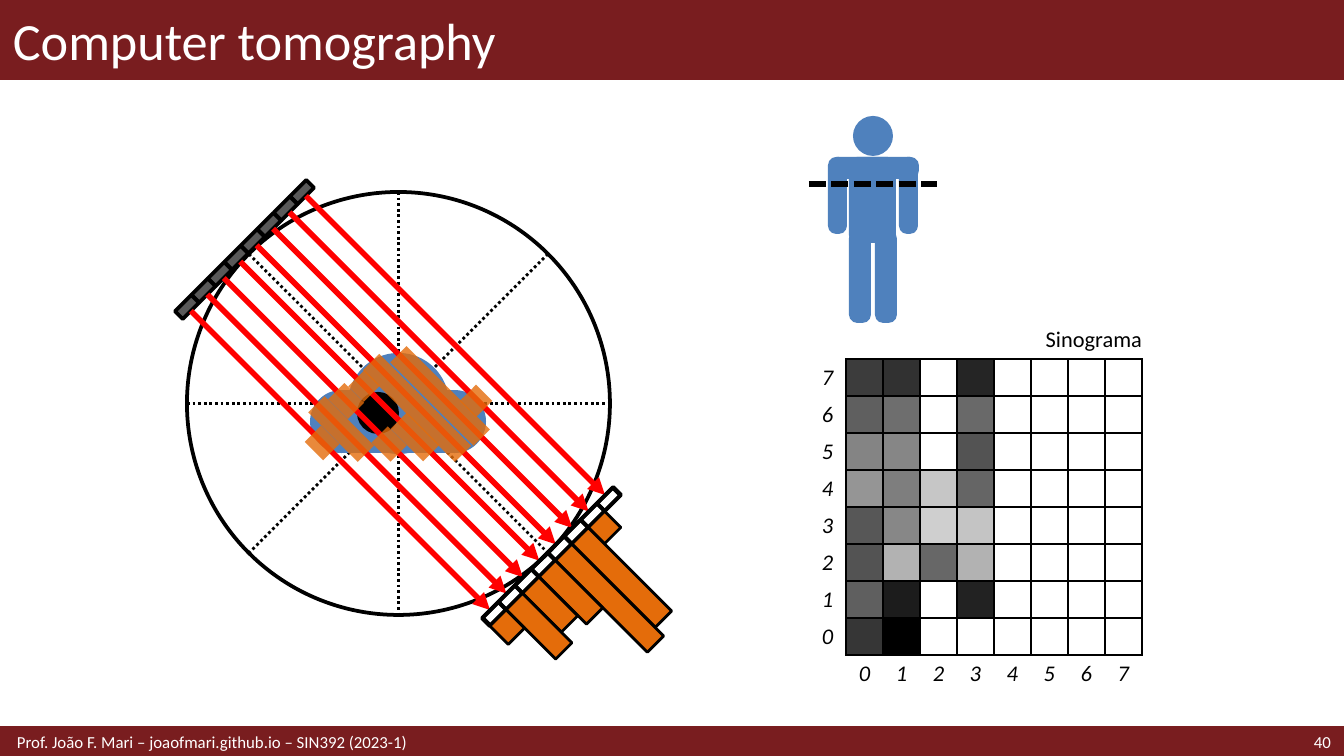
from math import sqrt

from pptx import Presentation
from pptx.dml.color import RGBColor
from pptx.enum.dml import MSO_LINE
from pptx.enum.shapes import MSO_CONNECTOR, MSO_SHAPE as SHAPE
from pptx.enum.text import MSO_ANCHOR, PP_ALIGN as ALIGN
from pptx.oxml import parse_xml
from pptx.oxml.ns import nsdecls, qn
from pptx.util import Emu, Pt

SLIDE_WIDTH, SLIDE_HEIGHT = 1344, 756
EMU_PER_PX = 9144000 / SLIDE_WIDTH

MAROON, BLUE, ORANGE = "791D1F", "4F81BD", "E46C0A"
BLACK, WHITE, GRAY, RED = "000000", "FFFFFF", "595959", "FF0000"

SLOTS = 8
SLOT_WIDTH, SLOT_DEPTH = 23, 11
ARRAY_SPAN = 115
DETECTOR_SHIFT = 307
PROFILE_LENGTHS = [0, 23, 118, 130, 67, 55, 70, 26]
# Centre x, centre y and length of each beam path through the tissue
TISSUE_PATHS = [
    (289, 209, 23), (253, 204, 118), (230, 216, 130), (177, 194, 22), (159, 209, 28),
    (154, 237, 70), (135, 251, 26), (228, 245, 46), (202, 252, 27),
]
# One row per detector from 7 down to 0, one entry per projection
SINOGRAM = [
    ["3C3C3C", "313131", None, "252525"],
    ["5F5F5F", "6E6E6E", None, "696969"],
    ["848484", "868686", "FFFFFF", "535353"],
    ["959595", "7E7E7E", "C6C6C6", "656565"],
    ["575757", "878787", "CFCFCF", "C4C4C4"],
    ["535353", "B2B2B2", "676767", "B2B2B2"],
    ["5F5F5F", "1C1C1C", None, "222222"],
    ["363636", "000000", None, None],
]


def px(length):
    return Emu(round(length * EMU_PER_PX))


def color(hex_code):
    return RGBColor.from_string(hex_code)


def add_shape(shapes, kind, left, top, width, height, fill=None, line=None,
              weight=1.0, rotation=0, adjust=None, opacity=None):
    shape = shapes.add_shape(kind, px(left), px(top), px(width), px(height))
    shape.shadow.inherit = False
    shape.rotation = rotation
    if adjust is not None:
        shape.adjustments[0] = adjust
    if fill:
        shape.fill.solid()
        shape.fill.fore_color.rgb = color(fill)
        if opacity is not None:
            tint = shape.fill._xPr.find(qn("a:solidFill"))[0]
            tint.append(parse_xml(f'<a:alpha {nsdecls("a")} val="{opacity * 1000}"/>'))
    else:
        shape.fill.background()
    if line:
        shape.line.color.rgb = color(line)
        shape.line.width = Pt(weight)
    else:
        shape.line.fill.background()


def add_tilted(shapes, center_x, center_y, width, height, **style):
    """Place a rectangle, turned along the beam direction, by its centre."""
    add_shape(shapes, SHAPE.RECTANGLE, center_x - width / 2, center_y - height / 2,
              width, height, rotation=135, **style)


def add_line(shapes, start, end, stroke=BLACK, weight=1.5, dash=None, arrow=False):
    line = shapes.add_connector(MSO_CONNECTOR.STRAIGHT, *map(px, (*start, *end)))
    line.line.color.rgb = color(stroke)
    line.line.width = Pt(weight)
    if dash:
        line.line.dash_style = dash
    if arrow:
        line.line._get_or_add_ln().append(
            parse_xml(f'<a:tailEnd {nsdecls("a")} type="triangle"/>'))
    line._element.spPr.append(parse_xml(f'<a:effectLst {nsdecls("a")}/>'))


def write(frame, text, size=12, ink=BLACK, align=ALIGN.LEFT, italic=False):
    paragraph = frame.paragraphs[0]
    paragraph.text = text
    paragraph.alignment = align
    font = paragraph.font
    font.name, font.size, font.italic = "Calibri", Pt(size), italic
    font.color.rgb = color(ink)


def add_text(shapes, text, left, top, width, height, inset=13, anchor=MSO_ANCHOR.MIDDLE,
             right_inset=13, **style):
    frame = shapes.add_textbox(px(left), px(top), px(width), px(height)).text_frame
    frame.word_wrap = True
    frame.vertical_anchor = anchor
    frame.margin_left, frame.margin_right = px(inset), px(right_inset)
    frame.margin_top = frame.margin_bottom = 0
    write(frame, text, **style)


def draw_header(shapes, left, top, width, height):
    add_shape(shapes, SHAPE.RECTANGLE, left, top, width, height, MAROON, MAROON)
    add_text(shapes, "Computer tomography", left, top, width, height, size=28, ink=WHITE)


def draw_footer(shapes, left, top, width, height):
    add_shape(shapes, SHAPE.RECTANGLE, left, top, width, height, MAROON, MAROON, 2)
    add_text(shapes, "Prof. João F. Mari – joaofmari.github.io – SIN392 (2023-1)",
             left, top, 926, height, inset=17, size=9, ink=WHITE)
    add_text(shapes, "40", left + width - 153, top, 153, height,
             size=9, ink=WHITE, align=ALIGN.RIGHT)


def draw_wheel(shapes, left, top, diameter):
    radius = diameter / 2
    diagonal = radius / sqrt(2)
    center_x, center_y = left + radius, top + radius
    add_shape(shapes, SHAPE.OVAL, left, top, diameter, diameter, line=BLACK, weight=2)
    for dx, dy in [(-diagonal, diagonal), (0, radius), (radius, 0), (diagonal, diagonal)]:
        add_line(shapes, (center_x - dx, center_y - dy), (center_x + dx, center_y + dy),
                 dash=MSO_LINE.ROUND_DOT)


def draw_tissue(shapes, left, top):
    for kind, x, y, width, height, fill in [
        (SHAPE.OVAL, 161, 161, 101, 101, BLUE),
        (SHAPE.OVAL, 236, 198, 63, 63, BLUE),
        (SHAPE.RECTANGLE, 154, 198, 114, 63, BLUE),
        (SHAPE.OVAL, 123, 198, 63, 63, BLUE),
        (SHAPE.OVAL, 170, 200, 42, 42, BLACK),
    ]:
        add_shape(shapes, kind, left + x, top + y, width, height, fill)


def draw_scanner(slide_shapes, left, top, diameter):
    """Draw the wheel, the tissue and the beams from emitters to detectors."""
    def new_group():
        return slide_shapes.add_group_shape().shapes

    step = ARRAY_SPAN / (SLOTS - 1)
    emitters = [(left + ARRAY_SPAN - i * step, top + i * step) for i in range(SLOTS)]
    detectors = [(x + DETECTOR_SHIFT, y + DETECTOR_SHIFT) for x, y in emitters]

    draw_wheel(new_group(), left, top, diameter)
    draw_tissue(new_group(), left, top)

    source = new_group()
    for x, y in emitters:
        add_tilted(source, x, y, SLOT_WIDTH, SLOT_DEPTH, fill=GRAY, line=BLACK, weight=2)

    rays = new_group()
    for x, y in emitters:
        add_line(rays, (x + 4, y + 4), (x + 303, y + 303), RED, 3, arrow=True)

    receiver = new_group()
    middle = ARRAY_SPAN / 2 + DETECTOR_SHIFT
    add_tilted(receiver, left + middle, top + middle, SLOTS * SLOT_WIDTH, SLOT_DEPTH,
               line=BLACK, weight=2)
    for x, y in detectors:
        add_tilted(receiver, x, y, SLOT_WIDTH, SLOT_DEPTH, line=BLACK, weight=2)

    paths = new_group()
    for x, y, length in TISSUE_PATHS:
        add_tilted(paths, left + x, top + y, SLOT_WIDTH, length, fill=ORANGE, opacity=80)

    profile = new_group()
    for (x, y), length in zip(detectors, PROFILE_LENGTHS):
        if length:
            offset = (SLOT_DEPTH + length) / 2 / sqrt(2)
            add_tilted(profile, x + offset, y + offset, SLOT_WIDTH, length,
                       fill=ORANGE, line=BLACK, weight=1.5)


def draw_person(shapes, left, top, width):
    """Draw a standing figure with the scanned section marked by a dashed line."""
    rounded = SHAPE.ROUNDED_RECTANGLE
    for kind, x, y, part_width, height, adjust, rotation in [
        (rounded, 19, 41, 19, 77, 0.43, 0),
        (rounded, 54, 7, 22, 90, 0.39, 90),
        (rounded, 90, 41, 19, 77, 0.43, 0),
        (rounded, 40, 41, 47, 86, 0.17, 0),
        (rounded, 40, 114, 22, 93, 0.38, 0),
        (SHAPE.OVAL, 44, 0, 40, 40, None, 0),
        (rounded, 66, 114, 22, 93, 0.38, 0),
    ]:
        add_shape(shapes, kind, left + x, top + y, part_width, height, BLUE,
                  adjust=adjust, rotation=rotation)
    add_line(shapes, (left, top + 68), (left + width, top + 68), weight=3,
             dash=MSO_LINE.SQUARE_DOT)


def add_borders(cell):
    for position, side in enumerate("LRTB"):
        cell._tc.get_or_add_tcPr().insert(position, parse_xml(
            f'<a:ln{side} {nsdecls("a")} w="12700"><a:solidFill>'
            f'<a:srgbClr val="{BLACK}"/></a:solidFill></a:ln{side}>'))


def draw_sinogram(shapes, left, top, cell_size):
    size = SLOTS + 1
    add_text(shapes, "Sinograma", left + 59, top - 34, size * cell_size - 59, 28,
             anchor=MSO_ANCHOR.TOP, right_inset=0, align=ALIGN.RIGHT)
    table = shapes.add_table(size, size, px(left), px(top), px(size * cell_size),
                             px(size * cell_size)).table
    table.first_row = table.horz_banding = False
    no_style = "{2D5ABB26-0587-4C30-8999-92F81FD0307C}"
    table._tbl.tblPr.find(qn("a:tableStyleId")).text = no_style
    for band in (*table.rows, *table.columns):
        setattr(band, "height" if hasattr(band, "height") else "width", px(cell_size))

    for row in range(size):
        for column in range(size):
            cell = table.cell(row, column)
            cell.margin_left = cell.margin_right = cell.margin_top = cell.margin_bottom = 0
            cell.vertical_anchor = MSO_ANCHOR.MIDDLE
            cell.fill.background()
            label = ""
            if row < SLOTS and column > 0:
                shades = SINOGRAM[row]
                shade = shades[column - 1] if column <= len(shades) else None
                if shade:
                    cell.fill.solid()
                    cell.fill.fore_color.rgb = color(shade)
                add_borders(cell)
            elif row < SLOTS:
                label = str(SLOTS - 1 - row)
            elif column > 0:
                label = str(column - 1)
            write(cell.text_frame, label, italic=True, align=ALIGN.CENTER)


def main():
    deck = Presentation()
    deck.slide_width, deck.slide_height = px(SLIDE_WIDTH), px(SLIDE_HEIGHT)
    shapes = deck.slides.add_slide(deck.slide_layouts[6]).shapes
    draw_header(shapes, 0, 0, SLIDE_WIDTH, 79)
    draw_footer(shapes, 0, 728, SLIDE_WIDTH, 28)
    draw_scanner(shapes, 187, 192, 423)
    draw_person(shapes.add_group_shape().shapes, 809, 116, 128)
    draw_sinogram(shapes, 809, 359, 37)
    deck.save("out.pptx")


if __name__ == "__main__":
    main()
